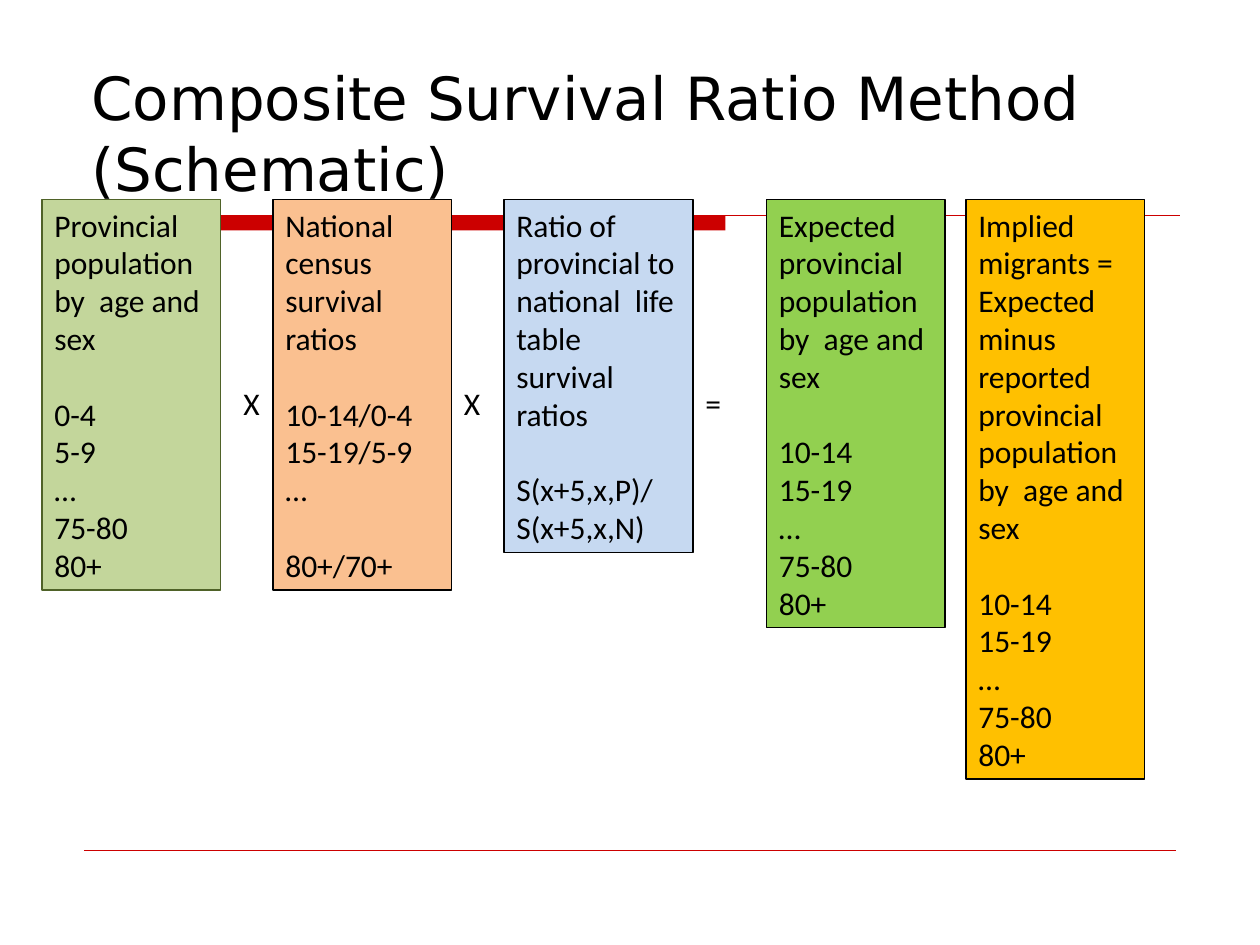
from pptx import Presentation
from pptx.dml.color import RGBColor
from pptx.enum.shapes import MSO_CONNECTOR, MSO_SHAPE
from pptx.enum.text import MSO_ANCHOR, MSO_AUTO_SIZE, PP_ALIGN
from pptx.oxml.ns import qn
from pptx.util import Pt
from lxml import etree

RECTANGLE = MSO_SHAPE.RECTANGLE
STRAIGHT = MSO_CONNECTOR.STRAIGHT
TOP, BOTTOM = MSO_ANCHOR.TOP, MSO_ANCHOR.BOTTOM
LEFT = PP_ALIGN.LEFT
GROW, NO_FIT = MSO_AUTO_SIZE.SHAPE_TO_FIT_TEXT, MSO_AUTO_SIZE.NONE

RED, BLACK = "CC0000", "000000"
TITLE_FONT, BODY_FONT = "DejaVu Sans", "Calibri"
BODY_SIZE = 18
LINE_HEIGHT = 21.6
BOX_TOP = 114
RULE_TOP = 123

# left, width, height, fill, outline, groups of lines set apart by one line
FACTORS = [
    (24, 102, 223.2, "C3D69B", "4F6228",
     [["Provincial population by  age and sex"],
      ["0-4", "5-9", "…", "75-80", "80+"]]),
    (156, 102, 223.2, "FAC090", BLACK,
     [["National census survival ratios"],
      ["10-14/0-4", "15-19/5-9", "…"], ["80+/70+"]]),
    (288, 108, 201.6, "C6D9F1", BLACK,
     [["Ratio of provincial to national  life table survival ratios"],
      ["S(x+5,x,P)/S(x+5,x,N)"]]),
    (438, 102, 244.8, "92D050", BLACK,
     [["Expected provincial population by  age and sex"],
      ["10-14", "15-19", "…", "75-80", "80+"]]),
    (552, 102, 331.2, "FFC000", BLACK,
     [["Implied migrants = Expected  minus reported provincial population "
       "by  age and sex"],
      ["10-14", "15-19", "…", "75-80", "80+"]]),
]

# symbol, left, width
OPERATORS = [("X", 132, 24), ("X", 258, 24), ("=", 396, 36)]


def color(hex_value):
    return RGBColor.from_string(hex_value)


def style_paragraph(paragraph, font_name, size):
    paragraph.alignment = LEFT
    for run in paragraph.runs:
        run.font.name = font_name
        run.font.size = Pt(size)
        run.font.color.rgb = color(BLACK)


def add_title(slide, wording):
    title = slide.shapes.title
    title.left, title.top = Pt(45), Pt(24)
    title.width, title.height = Pt(630), Pt(96)
    frame = title.text_frame
    frame.text = wording
    frame.vertical_anchor = BOTTOM
    frame.auto_size = NO_FIT
    style_paragraph(frame.paragraphs[0], TITLE_FONT, 34)


def add_rule(slide, left, right, y, weight):
    rule = slide.shapes.add_connector(STRAIGHT, Pt(left), Pt(y), Pt(right), Pt(y))
    rule.line.color.rgb = color(RED)
    rule.line.width = Pt(weight)
    etree.SubElement(rule._element.spPr, qn("a:effectLst"))


def add_rectangle(slide, left, top, width, height, fill):
    rectangle = slide.shapes.add_shape(
        RECTANGLE, Pt(left), Pt(top), Pt(width), Pt(height))
    rectangle.shadow.inherit = False
    rectangle.fill.solid()
    rectangle.fill.fore_color.rgb = color(fill)
    return rectangle


def add_accent_bar(slide):
    bar = add_rectangle(slide, 48, RULE_TOP, 366.6, 8.7, RED)
    bar.line.fill.background()


def add_factor(slide, left, width, height, fill, outline, groups):
    """Add a coloured box; each group after the first starts one line lower."""
    factor = add_rectangle(slide, left, BOX_TOP, width, height, fill)
    factor.line.color.rgb = color(outline)
    factor.line.width = Pt(0.75)
    frame = factor.text_frame
    frame.text = "\n".join(line for group in groups for line in group)
    frame.word_wrap = True
    frame.vertical_anchor = TOP
    frame.auto_size = GROW
    for paragraph in frame.paragraphs:
        style_paragraph(paragraph, BODY_FONT, BODY_SIZE)
    group_start = 0
    for group in groups[:-1]:
        group_start += len(group)
        frame.paragraphs[group_start].space_before = Pt(LINE_HEIGHT)


def add_operator(slide, symbol, left, width):
    operator = slide.shapes.add_textbox(Pt(left), Pt(216), Pt(width), Pt(28.8))
    frame = operator.text_frame
    frame.text = symbol
    frame.word_wrap = True
    frame.auto_size = GROW
    style_paragraph(frame.paragraphs[0], BODY_FONT, BODY_SIZE)


def main():
    deck = Presentation()
    deck.slide_width, deck.slide_height = Pt(720), Pt(540)
    slide = deck.slides.add_slide(deck.slide_layouts.get_by_name("Title Only"))

    add_title(slide, "Composite Survival Ratio Method (Schematic)")
    add_accent_bar(slide)
    add_rule(slide, 48, 674.4, RULE_TOP, 0.75)
    add_rule(slide, 48, 672, 486, 0.25)
    for factor in FACTORS:
        add_factor(slide, *factor)
    for operator in OPERATORS:
        add_operator(slide, *operator)

    deck.save("out.pptx")


if __name__ == "__main__":
    main()
